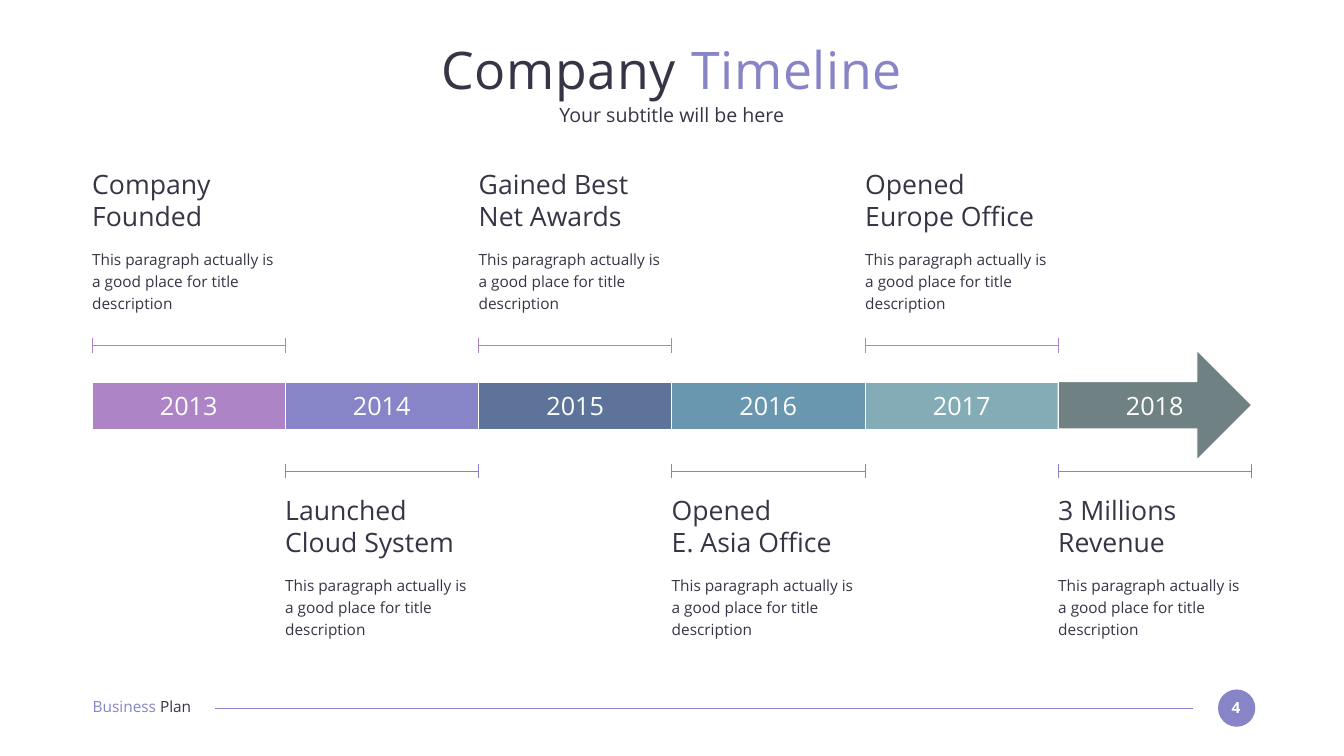
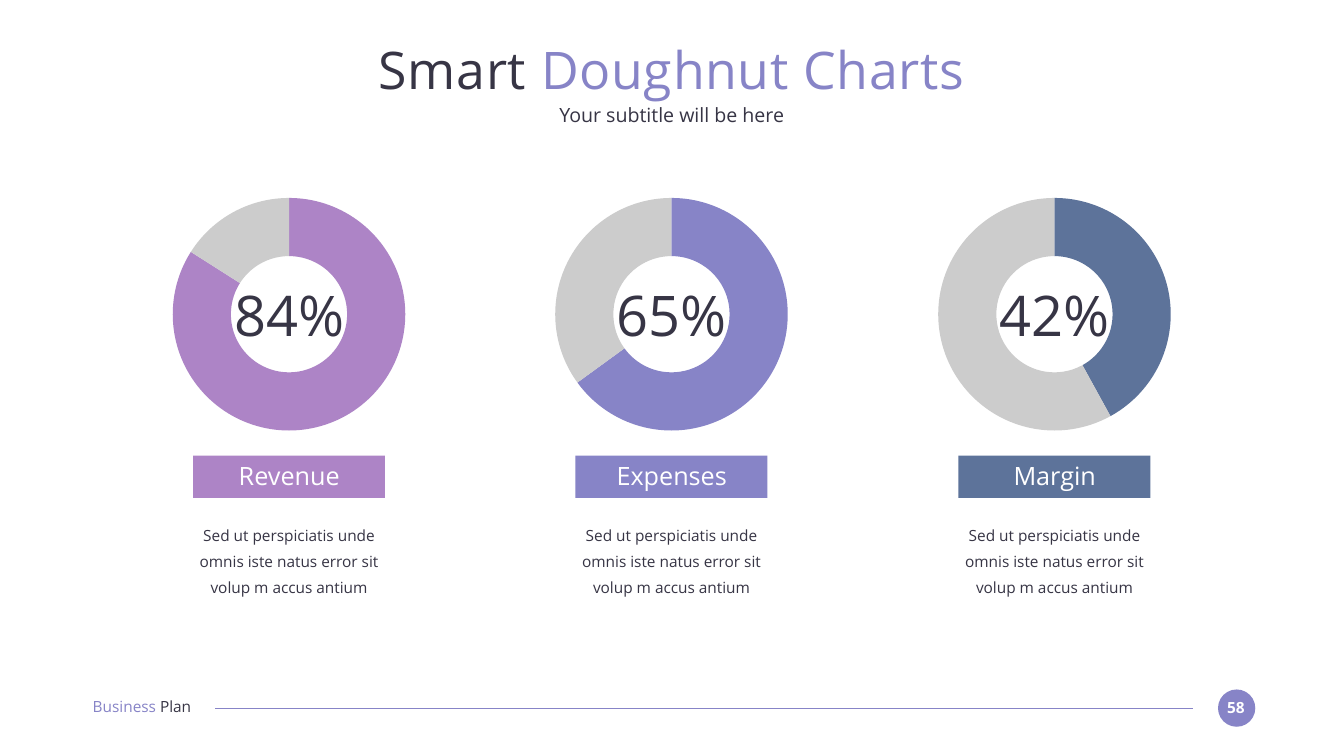
from pptx import Presentation
from pptx.chart.data import CategoryChartData
from pptx.dml.color import RGBColor
from pptx.enum.chart import XL_CHART_TYPE
from pptx.enum.shapes import MSO_CONNECTOR, MSO_SHAPE
from pptx.enum.text import MSO_ANCHOR, MSO_AUTO_SIZE, PP_ALIGN
from pptx.oxml.ns import qn
from pptx.util import Emu, Pt
from lxml.etree import SubElement

PX = 9144  # 100 px to the inch
FONT = "Open Sans"
COLORS = {
    "ink": "373545", "white": "FFFFFF", "grey": "CCCCCC", "black": "000000",
    "purple": "AD84C6", "violet": "8784C7", "navy": "5D739A",
    "blue": "6997AF", "teal": "84ACB6", "slate": "6F8183",
}
SERIES = ["purple", "violet", "navy", "blue", "teal", "slate"]
MARGIN, CONTENT_WIDTH = 183, 2301

MILESTONES = [
    ("2013", ["Company Founded"]),
    ("2014", ["Launched Cloud System"]),
    ("2015", ["Gained Best", "Net Awards"]),
    ("2016", ["Opened", "E. Asia Office"]),
    ("2017", ["Opened", "Europe Office"]),
    ("2018", ["3 Millions", "Revenue"]),
]
MILESTONE_NOTE = "This paragraph actually is a good place for title description"
METRICS = [("Revenue", 84), ("Expenses", 65), ("Margin", 42)]
METRIC_NOTE = "Sed ut perspiciatis unde omnis iste natus error sit volup m accus antium"


def px(*lengths):
    return [Emu(length * PX) for length in lengths]


def rgb(name):
    return RGBColor.from_string(COLORS[name])


def add_text(page, bounds, paras, size, align=PP_ALIGN.LEFT, bold=None,
             line_spacing=None, space_after=None, tracking=None, grow=True):
    """Each paragraph is a list of (text, colour) runs."""
    box = page.shapes.add_textbox(*px(*bounds))
    frame = box.text_frame
    frame.word_wrap = True
    frame.margin_left = frame.margin_top = frame.margin_right = frame.margin_bottom = 0
    if grow:
        frame.auto_size = MSO_AUTO_SIZE.SHAPE_TO_FIT_TEXT
    else:
        frame.vertical_anchor = MSO_ANCHOR.MIDDLE
    for index, runs in enumerate(paras):
        para = frame.add_paragraph() if index else frame.paragraphs[0]
        para.alignment = align
        if line_spacing:
            para.line_spacing = line_spacing
        if space_after:
            para.space_after = Pt(space_after)
        for text, color in runs:
            span = para.add_run()
            span.text = text
            span.font.name = FONT
            span.font.size = Pt(size)
            span.font.bold = bold
            span.font.color.rgb = rgb(color)
            if tracking:
                span.font._element.set("spc", str(tracking * 100))


def add_block(page, kind, bounds, fill, outline=None):
    block = page.shapes.add_shape(kind, *px(*bounds))
    block.shadow.inherit = False
    block.fill.solid()
    block.fill.fore_color.rgb = rgb(fill)
    if outline:
        block.line.color.rgb = rgb(outline)
        block.line.width = Pt(1.5)
    else:
        block.line.fill.background()
    return block


def add_line(shapes, ends, color):
    line = shapes.add_connector(MSO_CONNECTOR.STRAIGHT, *px(*ends))
    line.line.color.rgb = rgb(color)
    line.line.width = Pt(1.5)
    SubElement(line._element.spPr, qn("a:effectLst"))


def add_header(page, plain, accent):
    add_text(page, (MARGIN, 73, 2300, 127), [[(plain, "ink"), (accent, "violet")]],
             74, PP_ALIGN.CENTER, tracking=1, grow=False)
    add_text(page, (MARGIN, 203, 2300, 49), [[("Your subtitle will be here", "ink")]],
             28, PP_ALIGN.CENTER, grow=False)


def add_footer(page, number):
    add_block(page, MSO_SHAPE.OVAL, (2417, 1368, 74, 74), "violet")
    add_text(page, (2423, 1385, 59, 37), [[(number, "white")]], 22, PP_ALIGN.CENTER, bold=True)
    add_line(page.shapes, (2367, 1405, 427, 1405), "violet")
    add_text(page, (184, 1384, 259, 37), [[("Business ", "violet"), ("Plan", "ink")]], 22)


def add_year(page, left, top, width, year, color, last):
    """One band segment; the last one is the arrow."""
    if last:
        arrow = add_block(page, MSO_SHAPE.RIGHT_ARROW, (left, top - 63, width, 218), color, "white")
        arrow.adjustments[0] = 0.43
        arrow.adjustments[1] = 0.5
    else:
        add_block(page, MSO_SHAPE.RECTANGLE, (left, top, width, 94), color, "white")
    add_text(page, (left + 102, top + 16, 179, 61), [[(year, "white")]], 36, PP_ALIGN.CENTER)


def add_milestone(page, left, top, width, heading, bracket_top, color):
    # Bracket with end ticks
    bracket = page.shapes.add_group_shape().shapes
    right, middle = left + width, bracket_top + 15
    add_line(bracket, (left, middle, right, middle), color)
    for tick in (left, right):
        add_line(bracket, (tick, bracket_top, tick, bracket_top + 29), color)
    # Heading and description
    add_text(page, (left, top, width, 128), [[(line, "ink")] for line in heading], 38)
    add_text(page, (left, top + 155, width, 133), [[(MILESTONE_NOTE, "ink")]], 22,
             line_spacing=1.2)


def add_timeline(page, left, top, width):
    count = len(MILESTONES)
    edges = [left + width * step // count for step in range(count + 1)]
    columns = [(start, end - start) for start, end in zip(edges, edges[1:])]
    for index, (start, span_width) in enumerate(columns):
        add_year(page, start, top, span_width, MILESTONES[index][0], SERIES[index],
                 index == count - 1)
    # Milestones alternate above and below the band
    for index, (start, span_width) in enumerate(columns):
        text_top, bracket_top, color = (
            (top + 222, top + 162, "violet") if index % 2 else (top - 424, top - 87, "purple"))
        add_milestone(page, start, text_top, span_width, MILESTONES[index][1],
                      bracket_top, color)


def add_doughnut(page, bounds, value, color):
    data = CategoryChartData()
    data.categories = ["1", "2"]
    data.add_series("Series 1", (value, 100 - value))
    chart = page.shapes.add_chart(XL_CHART_TYPE.DOUGHNUT, *px(*bounds), data).chart
    chart.has_legend = False
    chart.has_title = False
    chart.font.name = "Calibri"
    chart.font.size = Pt(10)
    chart.font.color.rgb = rgb("black")
    plot = chart.plots[0]
    plot.vary_by_categories = True
    plot._element.find(qn("c:holeSize")).set("val", "88")
    for index, name in enumerate((color, "grey")):
        point = plot.series[0].points[index].format
        point.fill.solid()
        point.fill.fore_color.rgb = rgb(name)
        point.line.fill.background()


def add_metric(page, left, top, label, value, color):
    add_doughnut(page, (left, top, 489, 523), value, color)
    add_block(page, MSO_SHAPE.RECTANGLE, (left + 54, top + 542, 381, 84), color)
    add_text(page, (left + 90, top + 551, 310, 61), [[(label, "white")]], 36, PP_ALIGN.CENTER)
    add_text(page, (left + 29, top + 667, 431, 156), [[(METRIC_NOTE, "ink")]], 22,
             PP_ALIGN.CENTER, line_spacing=1.4, space_after=36)
    add_text(page, (left + 126, top + 194, 238, 135), [[(f"{value}%", "ink")]], 80,
             PP_ALIGN.CENTER)


def add_page(deck, plain, accent, number):
    page = deck.slides.add_slide(deck.slide_layouts[6])
    add_footer(page, number)
    add_header(page, plain, accent)
    return page


def main():
    deck = Presentation()
    deck.slide_width, deck.slide_height = px(2667, 1500)

    timeline_page = add_page(deck, "Company ", "Timeline", "4")
    add_timeline(timeline_page, MARGIN, 758, CONTENT_WIDTH)

    chart_page = add_page(deck, "Smart ", "Doughnut Charts", "58")
    for index, (label, value) in enumerate(METRICS):
        add_metric(chart_page, 329 + 1519 * index // 2, 362, label, value, SERIES[index])

    deck.save("out.pptx")


if __name__ == "__main__":
    main()
